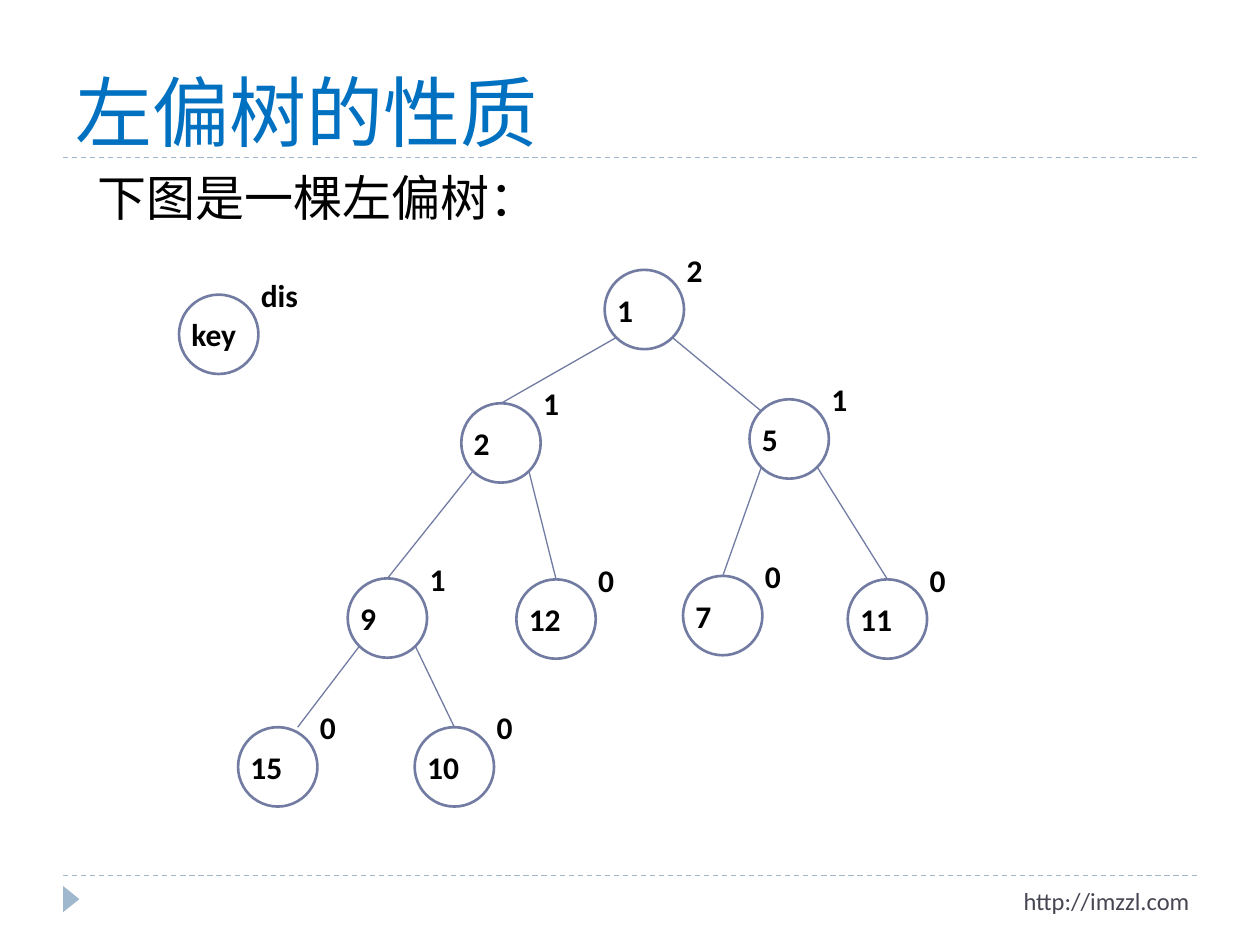
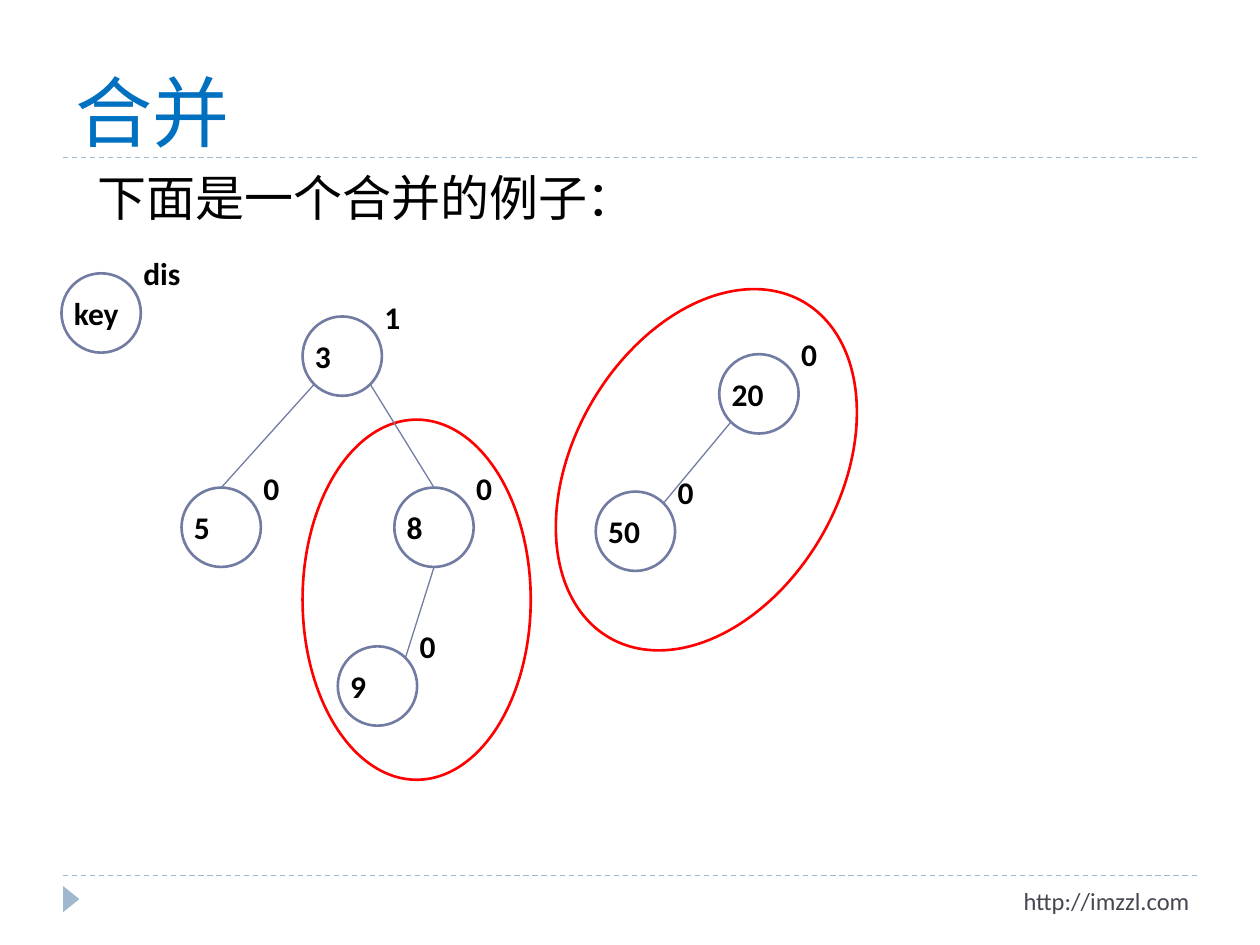
from dataclasses import dataclass

from lxml.etree import SubElement
from pptx import Presentation
from pptx.dml.color import RGBColor
from pptx.enum.dml import MSO_LINE_DASH_STYLE as Dash
from pptx.enum.shapes import MSO_CONNECTOR as Connector, MSO_SHAPE as Preset
from pptx.enum.text import MSO_ANCHOR as Anchor, PP_ALIGN as Align
from pptx.oxml.ns import qn
from pptx.util import Cm, Pt

COLORS = {
    "title": "0070C0",
    "body": "000000",
    "footer": "464653",
    "rule": "9FB8CD",
    "node": "727CA3",
    "paper": "FFFFFF",
    "highlight": "FF0000",
}
LATIN_FONT, CHINESE_FONT = "Calibri", "Noto Sans CJK SC"
MARGIN, CONTENT_WIDTH = 1.27, 22.86
TITLE_RULE_Y, FOOTER_RULE_Y = 3.18, 17.65
DIAMETER = 1.6

# Where a branch touches a node, as fractions of its diameter
SITES = {
    "top": (0.5, 0),
    "top, off centre": (0.75, 0),
    "bottom": (0.5, 1),
    "upper left": (0.15, 0.15),
    "upper right": (0.85, 0.15),
    "lower left": (0.15, 0.85),
    "lower right": (0.85, 0.85),
}


@dataclass(frozen=True)
class Node:
    key: str
    dis: str
    left: float
    top: float

    def site(self, where: str) -> tuple[float, float]:
        across, down = SITES[where]
        return self.left + across * DIAMETER, self.top + down * DIAMETER


@dataclass(frozen=True)
class Branch:
    parent: str
    leaves: str
    child: str
    enters: str = "top"


@dataclass(frozen=True)
class Highlight:
    left: float
    top: float
    width: float
    height: float
    rotation: float = 0


@dataclass(frozen=True)
class TreeSlide:
    title: str
    lead: str
    nodes: tuple[Node, ...]
    branches: tuple[Branch, ...]
    highlights: tuple[Highlight, ...] = ()


TREE_SLIDES = (
    TreeSlide(
        "左偏树的性质",
        "下图是一棵左偏树：",
        (
            Node("key", "dis", 3.61, 5.94),
            Node("1", "2", 12.19, 5.44),
            Node("2", "1", 9.3, 8.13),
            Node("5", "1", 15.11, 8.05),
            Node("9", "1", 7.01, 11.66),
            Node("12", "0", 10.41, 11.68),
            Node("7", "0", 13.77, 11.61),
            Node("11", "0", 17.09, 11.68),
            Node("15", "0", 4.8, 14.66),
            Node("10", "0", 8.36, 14.66),
        ),
        (
            Branch("1", "lower left", "2"),
            Branch("1", "lower right", "5", "upper left"),
            Branch("2", "lower left", "9"),
            Branch("2", "lower right", "12"),
            Branch("5", "lower left", "7"),
            Branch("5", "lower right", "11"),
            Branch("9", "lower left", "15", "top, off centre"),
            Branch("9", "lower right", "10"),
        ),
    ),
    TreeSlide(
        "合并",
        "下面是一个合并的例子：",
        (
            Node("key", "dis", 1.24, 5.51),
            Node("3", "1", 6.1, 6.38),
            Node("5", "0", 3.66, 9.83),
            Node("8", "0", 7.95, 9.83),
            Node("9", "0", 6.81, 13.03),
            Node("20", "0", 14.5, 7.14),
            Node("50", "0", 12.01, 9.91),
        ),
        (
            Branch("3", "lower left", "5"),
            Branch("3", "lower right", "8"),
            Branch("8", "bottom", "9", "upper right"),
            Branch("20", "lower left", "50", "upper right"),
        ),
        (
            Highlight(11.56, 5.56, 5.36, 7.82, 30),
            Highlight(6.1, 8.46, 4.6, 7.26),
        ),
    ),
)


def rgb(color: str) -> RGBColor:
    return RGBColor.from_string(COLORS[color])


def add_text(shapes, text: str, box: tuple[float, ...], size: int, color: str = "body",
             font: str = LATIN_FONT, bold: bool = False, align: Align = Align.LEFT,
             anchor: Anchor = Anchor.TOP, inset: tuple[float, float] = (0.25, 0.13)) -> None:
    """Add one line of text; inset is the left and the vertical inner margin."""
    frame = shapes.add_textbox(*map(Cm, box)).text_frame
    frame.word_wrap = True
    frame.vertical_anchor = anchor
    frame.margin_left = Cm(inset[0])
    frame.margin_top = frame.margin_bottom = Cm(inset[1])
    line = frame.paragraphs[0]
    line.alignment = align
    run = line.add_run()
    run.text = text
    run.font.name, run.font.size, run.font.bold = font, Pt(size), bold
    run.font.color.rgb = rgb(color)
    SubElement(run.font._element, qn("a:ea"), typeface=CHINESE_FONT)


def add_line(shapes, start: tuple[float, float], end: tuple[float, float],
             color: str, dash: Dash | None = None) -> None:
    line = shapes.add_connector(Connector.STRAIGHT, *map(Cm, start + end))
    line.line.color.rgb = rgb(color)
    line.line.width = Pt(0.75)
    if dash:
        line.line.dash_style = dash
    SubElement(line._element.spPr, qn("a:effectLst"))


def add_ellipse(shapes, box: tuple[float, ...], color: str, rotation: float = 0) -> None:
    ellipse = shapes.add_shape(Preset.OVAL, *map(Cm, box))
    ellipse.shadow.inherit = False
    ellipse.rotation = rotation
    ellipse.fill.solid()
    ellipse.fill.fore_color.rgb = rgb("paper")
    ellipse.line.color.rgb = rgb(color)
    ellipse.line.width = Pt(1.5)


def add_frame(shapes) -> None:
    """Draw the rules, the marker and the footer that every slide has."""
    for y in (FOOTER_RULE_Y, TITLE_RULE_Y):
        add_line(shapes, (MARGIN, y), (MARGIN + CONTENT_WIDTH, y), "rule", Dash.DASH)
    marker = shapes.add_shape(Preset.ISOSCELES_TRIANGLE, Cm(1.17), Cm(17.96), Cm(0.53), Cm(0.33))
    marker.shadow.inherit = False
    marker.rotation = 90
    marker.fill.solid()
    marker.fill.fore_color.rgb = rgb("rule")
    marker.line.fill.background()
    add_text(shapes, "http://imzzl.com", (14.5, 17.73, 9.73, 1.02), 14, "footer",
             align=Align.RIGHT)


def add_node(shapes, node: Node) -> None:
    group = shapes.add_group_shape().shapes
    add_ellipse(group, (node.left, node.top, DIAMETER, DIAMETER), "node")
    for label, right, down in ((node.key, 0, 0.29), (node.dis, 1.4, -0.51)):
        add_text(group, label, (node.left + right, node.top + down, 2, 1.02), 18, bold=True)


def add_tree_slide(deck, content: TreeSlide) -> None:
    shapes = deck.slides.add_slide(deck.slide_layouts[6]).shapes
    add_frame(shapes)
    for ring in content.highlights:
        add_ellipse(shapes, (ring.left, ring.top, ring.width, ring.height),
                    "highlight", ring.rotation)
    add_text(shapes, content.title, (MARGIN, 0.43, CONTENT_WIDTH, 2.74), 44, "title",
             CHINESE_FONT, anchor=Anchor.BOTTOM, inset=(0.25, 0))
    add_text(shapes, content.lead, (MARGIN, 3.38, CONTENT_WIDTH, 13.72), 28, inset=(0.7, 0))
    for node in content.nodes:
        add_node(shapes, node)
    by_key = {node.key: node for node in content.nodes}
    for branch in content.branches:
        add_line(shapes, by_key[branch.parent].site(branch.leaves),
                 by_key[branch.child].site(branch.enters), "node")


def main() -> None:
    deck = Presentation()
    deck.slide_width, deck.slide_height = Cm(25.4), Cm(19.05)
    for content in TREE_SLIDES:
        add_tree_slide(deck, content)
    deck.save("out.pptx")


if __name__ == "__main__":
    main()
